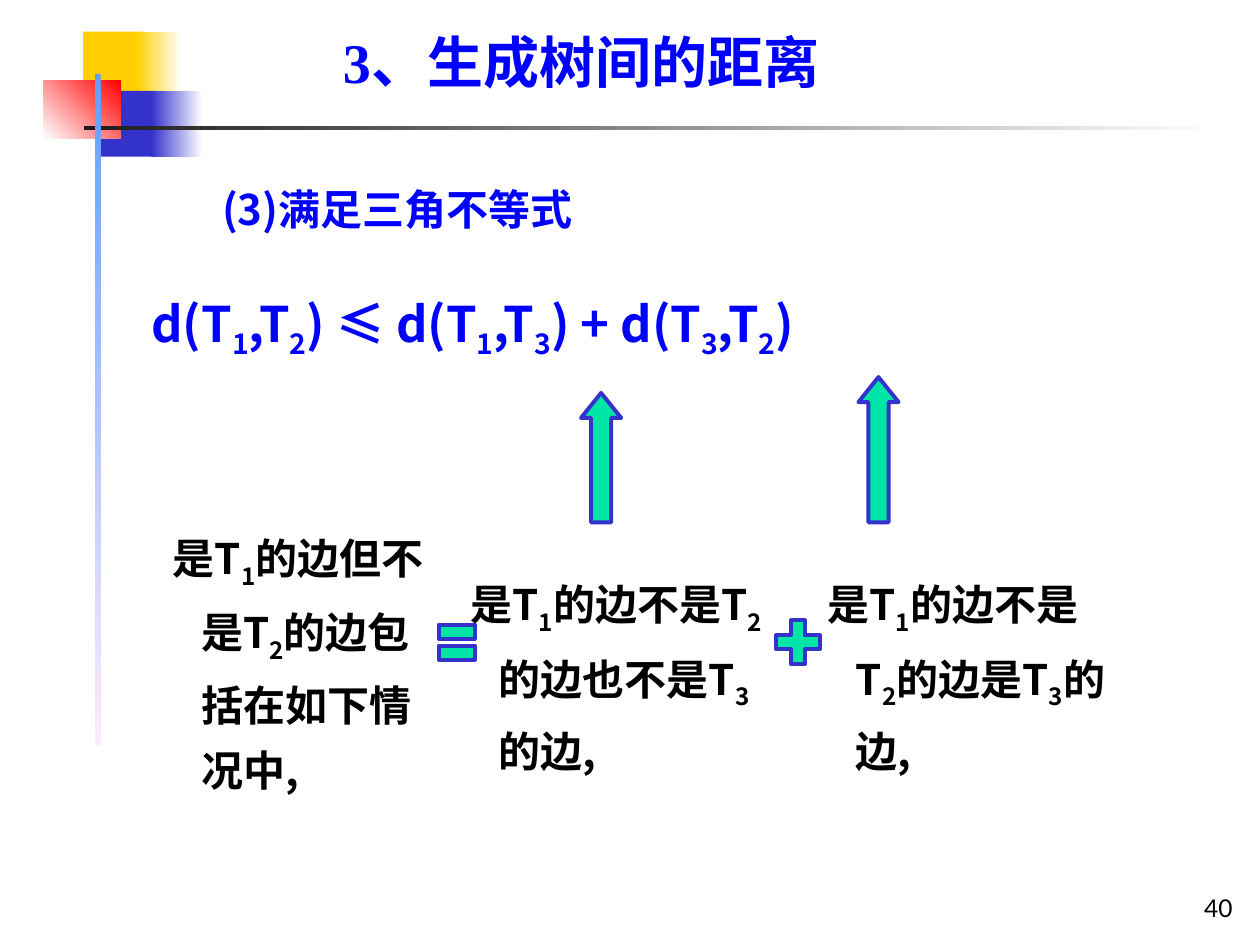
from lxml.etree import SubElement
from pptx import Presentation
from pptx.dml.color import RGBColor
from pptx.enum.shapes import MSO_SHAPE
from pptx.enum.text import MSO_ANCHOR, PP_ALIGN
from pptx.oxml.ns import qn
from pptx.util import Pt

BLUE = "0000FF"
BLACK = "000000"
NAVY = "3333CC"
GREEN = "00E4A8"
YELLOW = "FFCF01"
WHITE = "FFFFFF"
SANS = "Noto Sans CJK SC"
HANGING = 27


def color(value):
    """Turn a hex string into a colour."""
    return RGBColor.from_string(value)


def add_block(slide, box, colors, angle=0):
    """Add a borderless rectangle with one colour or a two-colour gradient."""
    shape = slide.shapes.add_shape(MSO_SHAPE.RECTANGLE, *map(Pt, box))
    shape.shadow.inherit = False
    shape.line.fill.background()
    if len(colors) == 1:
        shape.fill.solid()
        shape.fill.fore_color.rgb = color(colors[0])
    else:
        shape.fill.gradient()
        shape.fill.gradient_angle = angle
        for stop, value in zip(shape.fill.gradient_stops, colors):
            stop.color.rgb = color(value)


def add_symbol(slide, kind, box, adjustments=()):
    """Add a green symbol with a navy outline."""
    shape = slide.shapes.add_shape(kind, *map(Pt, box))
    shape.shadow.inherit = False
    shape.fill.solid()
    shape.fill.fore_color.rgb = color(GREEN)
    shape.line.color.rgb = color(NAVY)
    shape.line.width = Pt(2.25)
    for index, value in enumerate(adjustments):
        shape.adjustments[index] = value


def add_run(paragraph, text, subscript=False):
    """Add a run, lowered if it is a subscript."""
    run = paragraph.add_run()
    run.text = text
    if subscript:
        run.font._element.set("baseline", "-25000")


def write_text(shape, text, size, value, font=SANS, bold=True, spacing=1.0,
               first_indent=None, margins=(0, 0)):
    """Fill a shape with one paragraph, where _ marks a one-letter subscript."""
    frame = shape.text_frame
    frame.word_wrap = True
    frame.vertical_anchor = MSO_ANCHOR.TOP
    frame.margin_left = frame.margin_right = Pt(margins[0])
    frame.margin_top = frame.margin_bottom = Pt(margins[1])
    paragraph = frame.paragraphs[0]
    paragraph.alignment = PP_ALIGN.LEFT
    paragraph.line_spacing = spacing
    paragraph.space_before = Pt(0)
    if first_indent is not None:
        properties = paragraph._p.get_or_add_pPr()
        properties.set("marL", str(Pt(HANGING)))
        properties.set("indent", str(Pt(first_indent)))
    paragraph.font.size = Pt(size)
    paragraph.font.bold = bold
    paragraph.font.color.rgb = color(value)
    paragraph.font.name = font
    SubElement(paragraph.font._element, qn("a:ea"), typeface=SANS)
    start, *pieces = text.split("_")
    add_run(paragraph, start)
    for piece in pieces:
        add_run(paragraph, piece[0], subscript=True)
        if piece[1:]:
            add_run(paragraph, piece[1:])
    return paragraph


def add_text(slide, box, text, size, value, **options):
    """Add a text box with one paragraph."""
    shape = slide.shapes.add_textbox(*map(Pt, box))
    return shape, write_text(shape, text, size, value, **options)


def add_title(slide, box, text):
    """Place and fill the title placeholder."""
    title = slide.shapes.title
    title.left, title.top, title.width, title.height = map(Pt, box)
    write_text(title, text, 32, BLUE, font="Times New Roman", spacing=0.9)


def add_decoration(slide):
    """Add the coloured blocks and the two fading rules."""
    add_block(slide, (47.5, 18, 34.5, 37.5), [YELLOW])
    add_block(slide, (78, 18, 26, 37.5), [YELLOW, WHITE])
    add_block(slide, (57.5, 52, 33, 37.5), [NAVY])
    add_block(slide, (86.5, 52, 29, 37.5), [NAVY, WHITE])
    add_block(slide, (25, 46, 44, 33), [WHITE, "FF0000"], 45)
    add_block(slide, (48, 72, 648, 2.5), ["1C1C1C", WHITE])
    add_block(slide, (54, 42, 3.5, 383.5), ["5E9EFF", "FFEBFA"], 270)


def add_page_number(slide, number):
    """Add the page number in the lower right corner."""
    shape, paragraph = add_text(slide, (561.5, 494.5, 150, 36), number, 14, BLACK,
                                font="Lato", bold=False, margins=(7.2, 3.6))
    shape.text_frame.vertical_anchor = MSO_ANCHOR.BOTTOM
    paragraph.alignment = PP_ALIGN.RIGHT


def main():
    """Build the slide and save it."""
    presentation = Presentation()
    presentation.slide_width, presentation.slide_height = Pt(720), Pt(540)
    slide = presentation.slides.add_slide(presentation.slide_layouts[5])
    add_decoration(slide)
    add_title(slide, (196, 20, 289.5, 34.5), "3、生成树间的距离")
    add_text(slide, (121.5, 96.5, 238.5, 37.5), "(3)满足三角不等式", 24, BLUE,
             spacing=1.3, first_indent=-21.6)
    add_text(slide, (86.5, 168, 517, 34.5),
             "d(T_1,T_2) ≤ d(T_1,T_3) + d(T_3,T_2)", 28, BLUE,
             spacing=0.9, first_indent=-HANGING)
    cases = [
        ((88, 294.5, 157, 197), "是T_1的边但不是T_2的边包括在如下情况中,"),
        ((258, 321, 181.5, 127.5), "是T_1的边不是T_2的边也不是T_3的边,"),
        ((462, 321, 170, 127.5), "是T_1的边不是T_2的边是T_3的边,"),
    ]
    for box, text in cases:
        add_text(slide, box, text, 24, BLACK, spacing=1.3, first_indent=-16.2)
    for left, top in [(332, 224.5), (490.5, 215.5)]:
        add_symbol(slide, MSO_SHAPE.UP_ARROW, (left, top, 23, 298.5 - top), (0.5, 0.623))
    add_symbol(slide, MSO_SHAPE.MATH_EQUAL, (247, 350, 28, 34))
    add_symbol(slide, MSO_SHAPE.MATH_PLUS, (439, 350, 34, 34))
    add_page_number(slide, "40")
    presentation.save("out.pptx")


if __name__ == "__main__":
    main()
